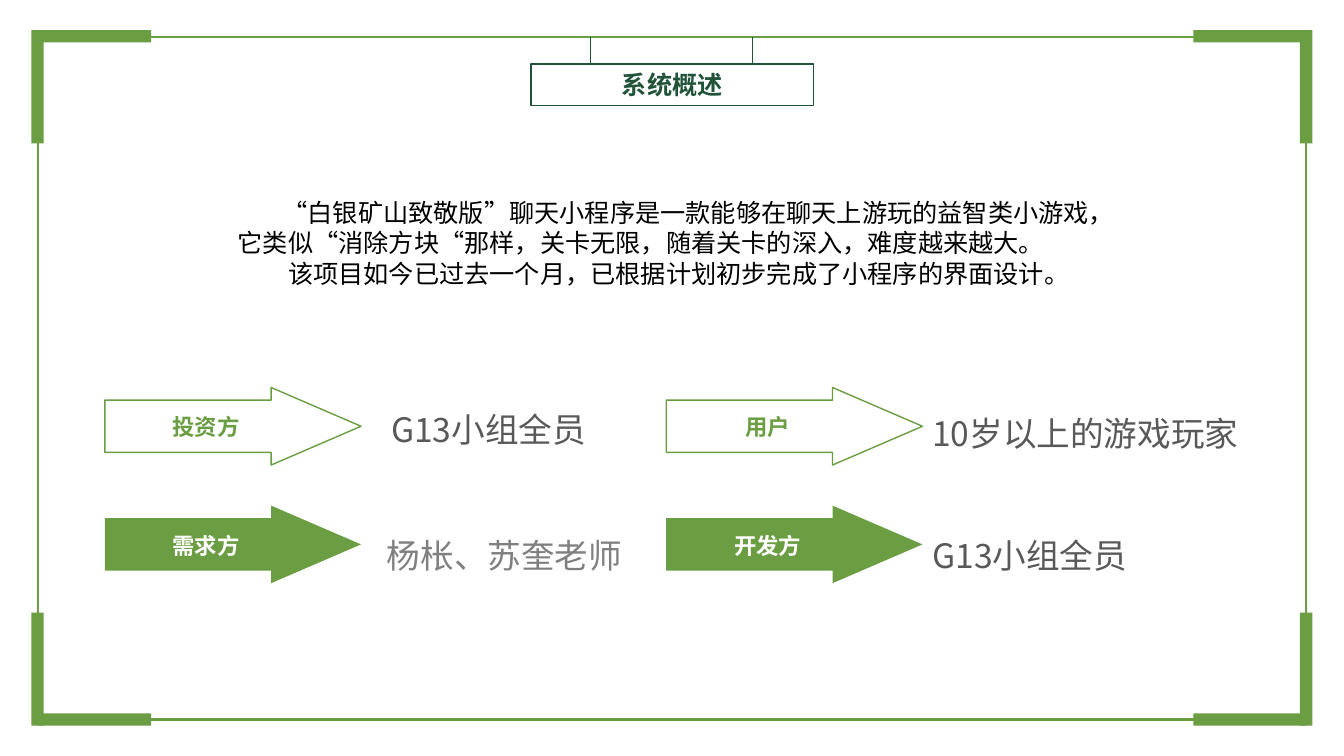
from dataclasses import dataclass

from lxml import etree
from pptx import Presentation
from pptx.dml.color import RGBColor
from pptx.enum import shapes, text
from pptx.oxml import ns
from pptx.util import Pt


@dataclass(frozen=True)
class Theme:
    green: str = "6B9D43"
    dark_green: str = "205337"
    white: str = "FFFFFF"
    black: str = "000000"
    gray: str = "595959"
    light_gray: str = "808080"
    heading_font: str = "Noto Sans CJK SC"
    body_font: str = "Calibri"
    label_size: float = 16
    body_size: float = 18
    answer_size: float = 24


THEME = Theme()


def paint(shape, fill=None, line=None, line_width=1):
    shape.shadow.inherit = False
    if fill:
        shape.fill.solid()
        shape.fill.fore_color.rgb = RGBColor.from_string(fill)
    else:
        shape.fill.background()
    if line:
        shape.line.color.rgb = RGBColor.from_string(line)
        shape.line.width = Pt(line_width)
    else:
        shape.line.fill.background()


def write(shape, *lines, size=THEME.body_size, color=THEME.black, bold=False,
          font=THEME.heading_font, align=text.PP_ALIGN.LEFT, spacing=None, indents=()):
    """Fill a shape with one paragraph per line; indents are first-line indents."""
    frame = shape.text_frame
    frame.word_wrap = True
    for index, line in enumerate(lines):
        paragraph = frame.paragraphs[0] if index == 0 else frame.add_paragraph()
        paragraph.alignment = align
        paragraph.line_spacing = spacing
        if indents:
            paragraph._p.get_or_add_pPr().set("indent", str(int(Pt(indents[index]))))
        run = paragraph.add_run()
        run.text = line
        run.font.size = Pt(size)
        run.font.bold = bold
        run.font.color.rgb = RGBColor.from_string(color)
        run.font.name = font
        east_asian = etree.SubElement(run._r.get_or_add_rPr(), ns.qn("a:ea"))
        east_asian.set("typeface", THEME.heading_font)


def add_rectangle(slide, left, top, width, height, **style):
    shape = slide.shapes.add_shape(
        shapes.MSO_SHAPE.RECTANGLE, Pt(left), Pt(top), Pt(width), Pt(height))
    paint(shape, **style)
    return shape


def add_text(slide, left, top, width, height, *lines, **style):
    box = slide.shapes.add_textbox(Pt(left), Pt(top), Pt(width), Pt(height))
    write(box, *lines, **style)
    box.text_frame.auto_size = text.MSO_AUTO_SIZE.SHAPE_TO_FIT_TEXT


def add_line(slide, x, top, bottom, color):
    line = slide.shapes.add_connector(
        shapes.MSO_CONNECTOR.STRAIGHT, Pt(x), Pt(top), Pt(x), Pt(bottom))
    line.line.color.rgb = RGBColor.from_string(color)
    line.line.width = Pt(1)
    etree.SubElement(line._element.spPr, ns.qn("a:effectLst"))


def add_frame(slide):
    add_rectangle(slide, 27.2, 26.6, 905.8, 487.4, line=THEME.green, line_width=1.5)
    # Each corner is one horizontal and one vertical bar
    length, thickness = 80.8, 8.8
    left, top, right, bottom = 22.4, 21.6, 937.4, 518.4
    for bar_x, post_x in ((27.2, left), (852.4, right - thickness)):
        for bar_y, post_y in ((top, top), (bottom - thickness, bottom - length)):
            add_rectangle(slide, bar_x, bar_y, length, thickness, fill=THEME.green)
            add_rectangle(slide, post_x, post_y, thickness, length, fill=THEME.green)


def add_title(slide, title):
    sign = add_rectangle(slide, 379.4, 45.6, 201.6, 29.6, line=THEME.dark_green)
    sign.text_frame.vertical_anchor = text.MSO_ANCHOR.MIDDLE
    write(sign, title, color=THEME.dark_green, bold=True, align=text.PP_ALIGN.CENTER)
    for x in (421.8, 537.4):
        add_line(slide, x, 26.6, 45.8, THEME.dark_green)


def add_arrow(slide, left, top, label, filled):
    """Block arrow, hollow or filled, with its label on the shaft."""
    tip, neck, height, edge = 183, 118.8, 55.4, 9
    builder = slide.shapes.build_freeform(Pt(left + neck), Pt(top))
    corners = ((tip, height / 2), (neck, height), (neck, height - edge),
               (0, height - edge), (0, edge), (neck, edge))
    builder.add_line_segments([(Pt(left + x), Pt(top + y)) for x, y in corners])
    arrow = builder.convert_to_shape()
    paint(arrow, fill=THEME.green if filled else None,
          line=None if filled else THEME.green)
    add_text(slide, left, top + 15, 144.8, 26.6, label, size=THEME.label_size,
             color=THEME.white if filled else THEME.green, bold=True,
             align=text.PP_ALIGN.CENTER)


def main():
    presentation = Presentation()
    presentation.slide_width, presentation.slide_height = Pt(960), Pt(540)
    slide = presentation.slides.add_slide(presentation.slide_layouts[6])

    # Frame and title
    add_frame(slide)
    add_title(slide, "系统概述")

    # Overview
    add_text(slide, 162.7, 137.5, 633.6, 70.6,
             "“白银矿山致敬版”聊天小程序是一款能够在聊天上游玩的益智类小游戏，"
             "它类似“消除方块“那样，关卡无限，随着关卡的深入，难度越来越大。",
             "该项目如今已过去一个月，已根据计划初步完成了小程序的界面设计。",
             font=THEME.body_font, indents=(32, 36))

    # Parties: column, row, label, answer, answer position, answer colour
    parties = (
        (0, 0, "投资方", "G13小组全员", 272.2, 274.3, THEME.gray),
        (0, 1, "需求方", "杨枨、苏奎老师", 269.3, 364.3, THEME.light_gray),
        (1, 0, "用户", "10岁以上的游戏玩家", 658.8, 277.2, THEME.gray),
        (1, 1, "开发方", "G13小组全员", 658.8, 364.3, THEME.gray),
    )
    for column, row, label, answer, x, y, color in parties:
        add_arrow(slide, 74.9 + 401 * column, 276.8 + 84.4 * row, label, filled=row == 1)
        add_text(slide, x, y, 323.3, 43.9, answer, size=THEME.answer_size,
                 color=color, spacing=1.5)

    presentation.save("out.pptx")


if __name__ == "__main__":
    main()
